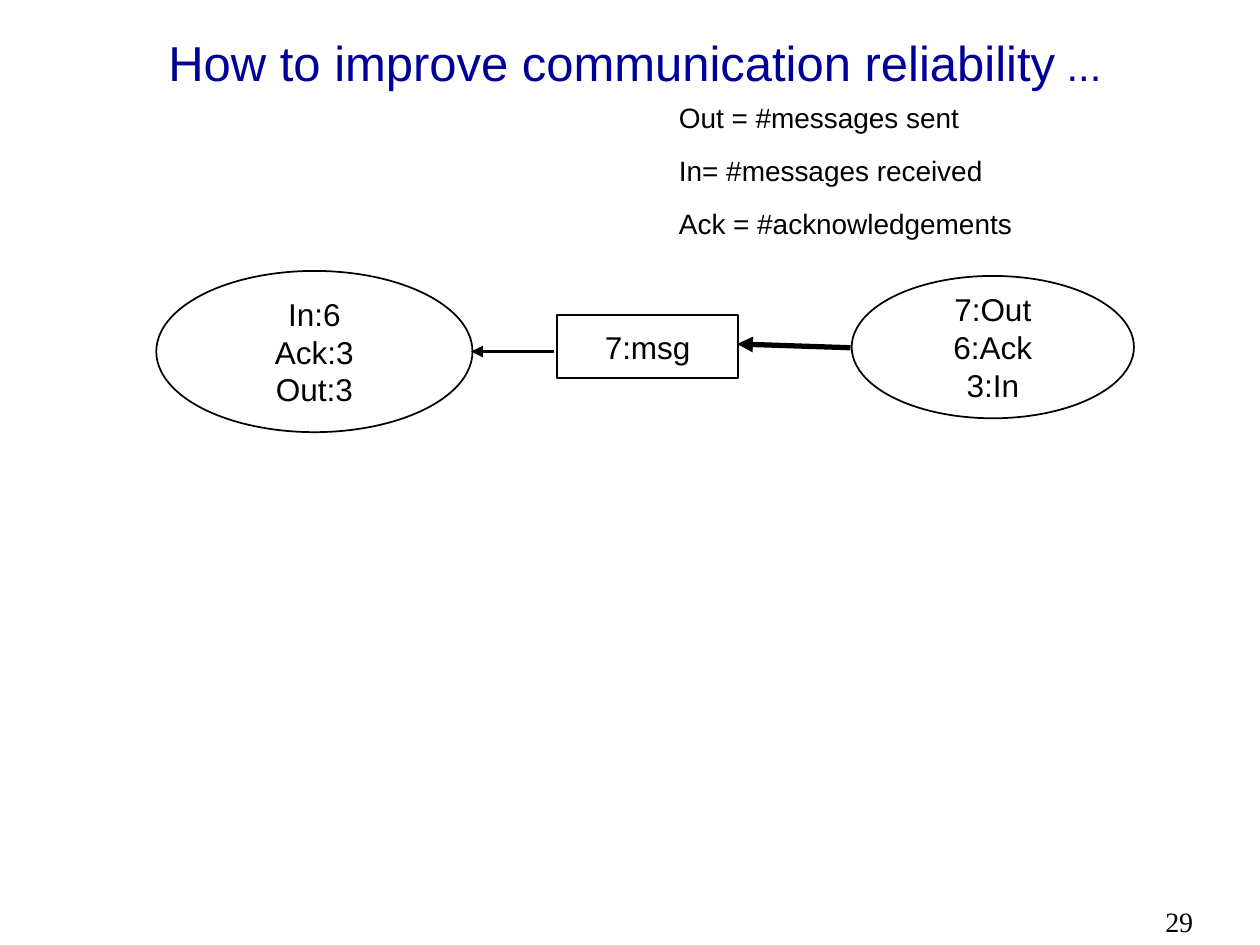
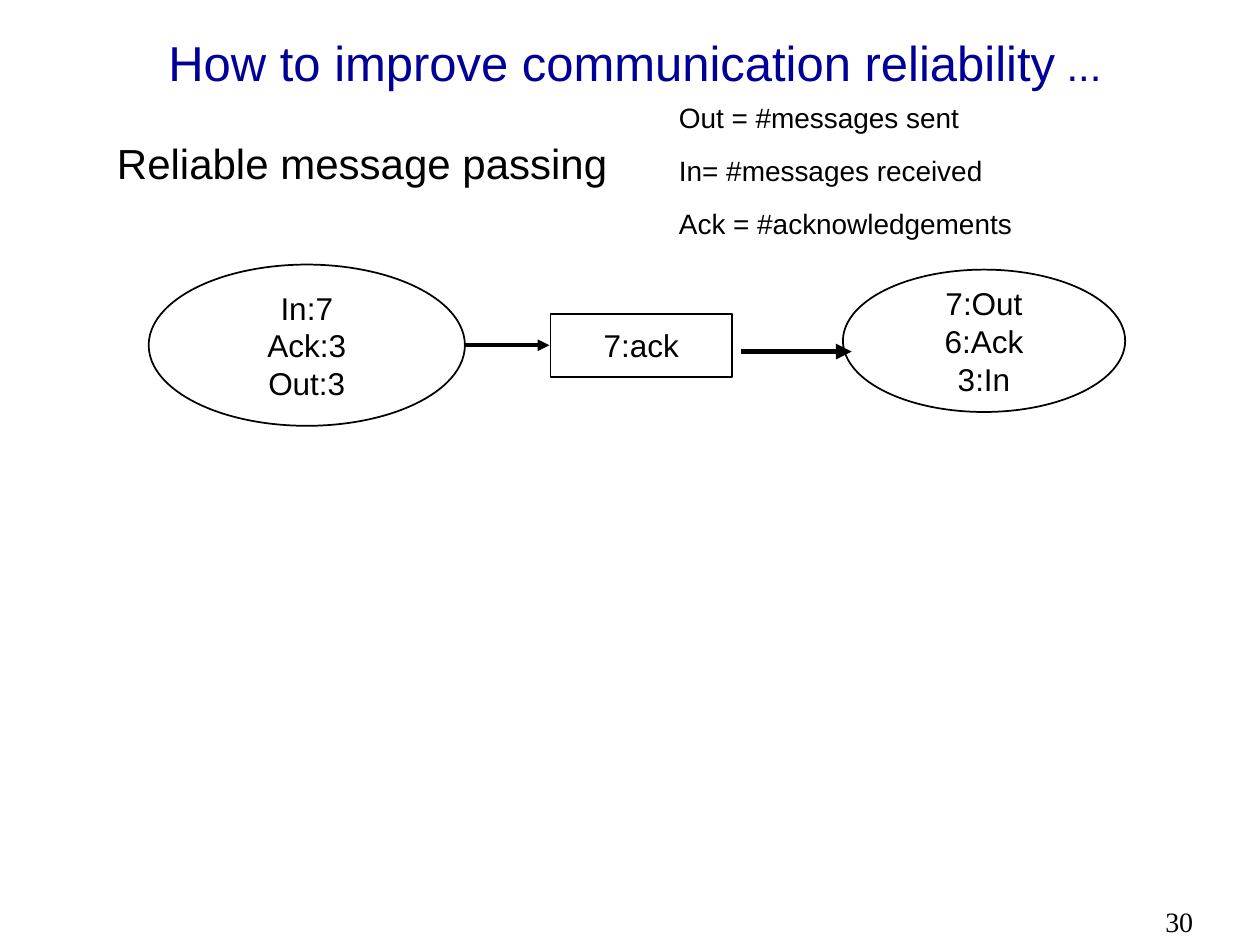
from lxml import etree
from pptx import Presentation, util as u
from pptx.dml.color import RGBColor
from pptx.enum import shapes, text
from pptx.oxml import ns

INK, PAPER, NAVY = "000000", "FFFFFF", "000099"
SANS, SERIF = "Arial", "Times New Roman"
OVAL, RECT = shapes.MSO_SHAPE.OVAL, shapes.MSO_SHAPE.RECTANGLE

TITLE = [("How to improve communication reliability", 28), (" ...", 24)]
LEGEND = ["Out = #messages sent", "In= #messages received", "Ack = #acknowledgements"]
SENDER = ["7:Out", "6:Ack", "3:In"]

SLIDES = [
    {
        "number": "29",
        "heading": None,
        "nodes": [
            (OVAL, (6.76, 2.19, 2.24, 1.13), SENDER),
            (RECT, (4.42, 2.5, 1.44, 0.5), ["7:msg"]),
            (OVAL, (1.24, 2.15, 2.51, 1.28), ["In:6", "Ack:3", "Out:3"]),
        ],
        "arrows": [((6.75, 2.76), (5.85, 2.73), 3), ((4.4, 2.79), (3.74, 2.79), 2.25)],
    },
    {
        "number": "30",
        "heading": "Reliable message passing",
        "nodes": [
            (OVAL, (6.69, 2.14, 2.24, 1.13), SENDER),
            (OVAL, (1.18, 2.1, 2.51, 1.28), ["In:7", "Ack:3", "Out:3"]),
            (RECT, (4.37, 2.49, 1.44, 0.5), ["7:ack"]),
        ],
        "arrows": [((5.88, 2.79), (6.76, 2.79), 3), ((3.69, 2.74), (4.36, 2.74), 2.25)],
    },
]


def color(value):
    return RGBColor.from_string(value)


def inches(values):
    return [u.Inches(value) for value in values]


def write(box, paragraphs, font=SANS, ink=INK, centred=False, middle=False,
          wrap=True, spacing=None, gap=0):
    frame = box.text_frame
    frame.word_wrap = wrap
    frame.auto_size = text.MSO_AUTO_SIZE.NONE
    frame.vertical_anchor = text.MSO_ANCHOR.MIDDLE if middle else text.MSO_ANCHOR.TOP
    for index, runs in enumerate(paragraphs):
        para = frame.add_paragraph() if index else frame.paragraphs[0]
        para.alignment = text.PP_ALIGN.CENTER if centred else text.PP_ALIGN.LEFT
        para.line_spacing = spacing
        para.space_before = u.Pt(gap if index else 0)
        for words, size in runs:
            span = para.add_run()
            span.text = words
            span.font.name, span.font.size = font, u.Pt(size)
            span.font.color.rgb = color(ink)


def add_text(page, place, paragraphs, **style):
    write(page.shapes.add_textbox(*inches(place)), paragraphs, **style)


def add_node(page, kind, place, lines):
    node = page.shapes.add_shape(kind, *inches(place))
    node.shadow.inherit = False
    node.fill.solid()
    node.fill.fore_color.rgb = color(PAPER)
    node.line.color.rgb = color(INK)
    node.line.width = u.Pt(1)
    write(node, [[(line, 18)] for line in lines], centred=True, middle=True, wrap=False)


def add_arrow(page, start, end, width):
    arrow = page.shapes.add_connector(shapes.MSO_CONNECTOR.STRAIGHT, *inches(start + end))
    arrow.line.color.rgb = color(INK)
    arrow.line.width = u.Pt(width)
    etree.SubElement(arrow.line._get_or_add_ln(), ns.qn("a:tailEnd"), type="triangle")
    etree.SubElement(arrow._element.spPr, ns.qn("a:effectLst"))


def add_page(deck, content):
    page = deck.slides.add_slide(deck.slide_layouts[6])
    page.background.fill.solid()
    page.background.fill.fore_color.rgb = color(PAPER)
    add_text(page, (9.15, 7.13, 0.85, 0.37), [[(content["number"], 16)]], font=SERIF)
    add_text(page, (0.79, 0.19, 8.5, 0.69), [TITLE], ink=NAVY,
             centred=True, middle=True, spacing=0.8)
    if content["heading"]:
        add_text(page, (0.83, 1.04, 8.5, 5.6), [[(content["heading"], 24)]])
    for node in content["nodes"]:
        add_node(page, *node)
    for arrow in content["arrows"]:
        add_arrow(page, *arrow)
    add_text(page, (5.29, 0.75, 3.62, 1.18), [[(line, 16)] for line in LEGEND], gap=11)


def main():
    deck = Presentation()
    deck.slide_width, deck.slide_height = inches((10, 7.5))
    for content in SLIDES:
        add_page(deck, content)
    deck.save("out.pptx")


if __name__ == "__main__":
    main()
